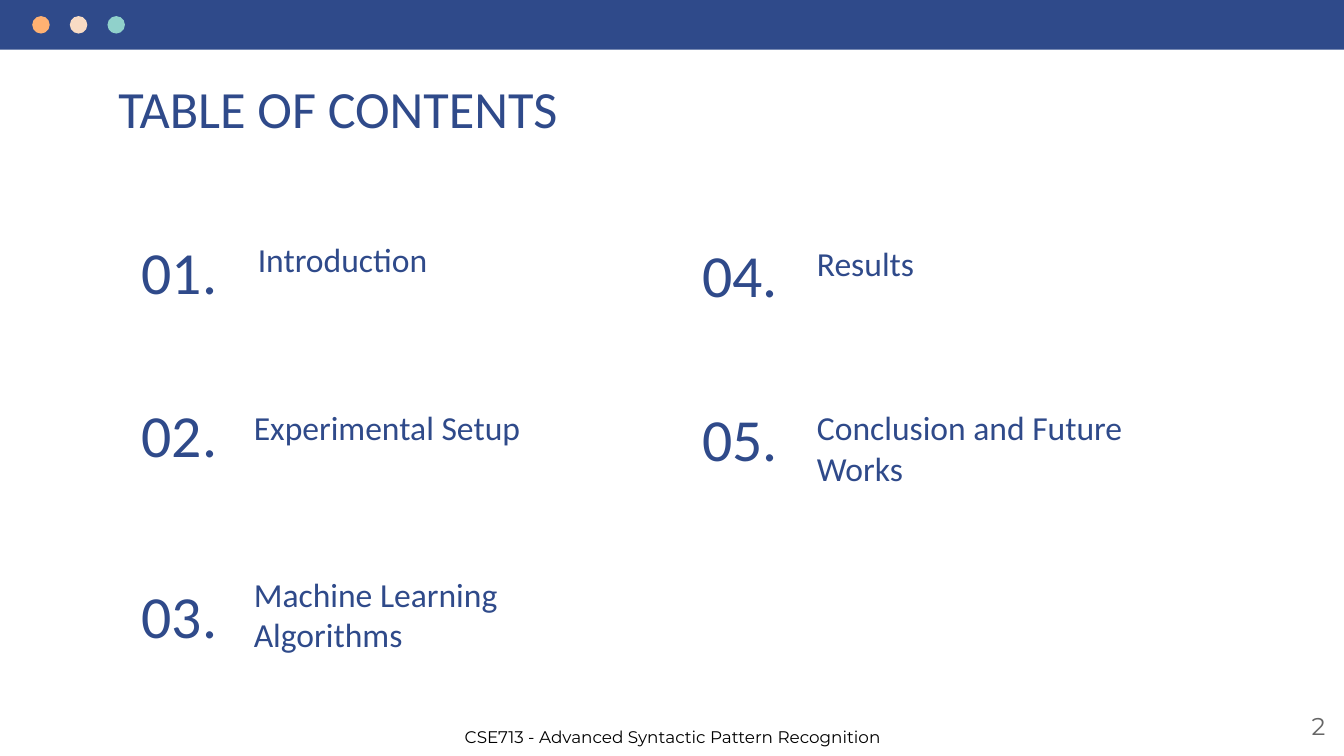
import dataclasses

import pptx
import pptx.dml.color
import pptx.enum.shapes
import pptx.enum.text
import pptx.util

Inches = pptx.util.Inches
RGB = pptx.dml.color.RGBColor
Align = pptx.enum.text.PP_ALIGN
Anchor = pptx.enum.text.MSO_ANCHOR
Kind = pptx.enum.shapes.MSO_SHAPE

NAVY = RGB(0x2F, 0x4A, 0x8A)
ORANGE = RGB(0xFF, 0xB1, 0x72)
CREAM = RGB(0xF8, 0xDB, 0xC4)
TEAL = RGB(0x90, 0xD1, 0xCB)
BLACK = RGB(0, 0, 0)
GREY = RGB(0x66, 0x66, 0x66)


@dataclasses.dataclass
class Style:
    size: float
    color: RGB = NAVY
    font: str = "Calibri"
    align: Align = Align.LEFT
    anchor: Anchor = Anchor.TOP


@dataclasses.dataclass
class Entry:
    """A numbered topic: corners of the number box and of the label box."""
    label: str
    num_x: float
    num_y: float
    x: float
    y: float
    width: float


TITLE = Style(28)
LABEL = Style(18)
NUMBER = Style(32, align=Align.CENTER, anchor=Anchor.BOTTOM)
FOOTER = Style(9, BLACK, "Montserrat")
PAGE = Style(13, GREY, "Montserrat", Align.RIGHT)

ENTRIES = [
    Entry("Introduction", 0.84, 1.74, 1.82, 1.68, 2.92),
    Entry("Experimental Setup", 0.84, 2.95, 1.79, 2.93, 2.92),
    Entry("Machine Learning Algorithms", 0.84, 4.3, 1.79, 4.17, 2.98),
    Entry("Results", 5.01, 1.76, 5.98, 1.71, 2.98),
    Entry("Conclusion and Future Works", 5.01, 2.98, 5.98, 2.93, 2.98),
]


def write(shape, text: str, style: Style) -> None:
    frame = shape.text_frame
    frame.text = text
    frame.word_wrap = True
    frame.auto_size = pptx.enum.text.MSO_AUTO_SIZE.NONE
    frame.vertical_anchor = style.anchor
    frame.margin_left = frame.margin_right = Inches(0.1)
    frame.margin_top = frame.margin_bottom = Inches(0.1)
    para = frame.paragraphs[0]
    para.alignment = style.align
    font = para.runs[0].font
    font.name = style.font
    font.size = pptx.util.Pt(style.size)
    font.color.rgb = style.color


def add_text(slide, text: str, style: Style,
             x: float, y: float, w: float, h: float) -> None:
    box = slide.shapes.add_textbox(Inches(x), Inches(y), Inches(w), Inches(h))
    write(box, text, style)


def add_solid(slide, kind: Kind, color: RGB,
              x: float, y: float, w: float, h: float) -> None:
    shape = slide.shapes.add_shape(
        kind, Inches(x), Inches(y), Inches(w), Inches(h))
    shape.shadow.inherit = False
    shape.fill.solid()
    shape.fill.fore_color.rgb = color
    shape.line.fill.background()


def main() -> None:
    deck = pptx.Presentation()
    deck.slide_width = Inches(10)
    deck.slide_height = deck.slide_width * 9 // 16
    slide = deck.slides.add_slide(deck.slide_layouts[5])

    title = slide.shapes.title
    title.left, title.top = Inches(0.78), Inches(0.47)
    title.width, title.height = Inches(8.44), Inches(0.51)
    write(title, "TABLE OF CONTENTS", TITLE)

    for num, entry in enumerate(ENTRIES, 1):
        add_text(slide, f"{num:02}.", NUMBER,
                 entry.num_x, entry.num_y, 0.99, 0.64)
        add_text(slide, entry.label, LABEL,
                 entry.x, entry.y, entry.width, 0.51)

    add_solid(slide, Kind.RECTANGLE, NAVY, 0, 0, 10, 0.37)
    for num, color in enumerate([ORANGE, CREAM, TEAL]):
        add_solid(slide, Kind.OVAL, color,
                  0.24 + 0.28 * num, 0.12, 0.13, 0.13)

    add_text(slide, "CSE713 - Advanced Syntactic Pattern Recognition", FOOTER,
             3.36, 5.31, 3.74, 0.35)
    add_text(slide, "2", PAGE, 9.36, 5.19, 0.6, 0.43)
    deck.save("out.pptx")


if __name__ == "__main__":
    main()
